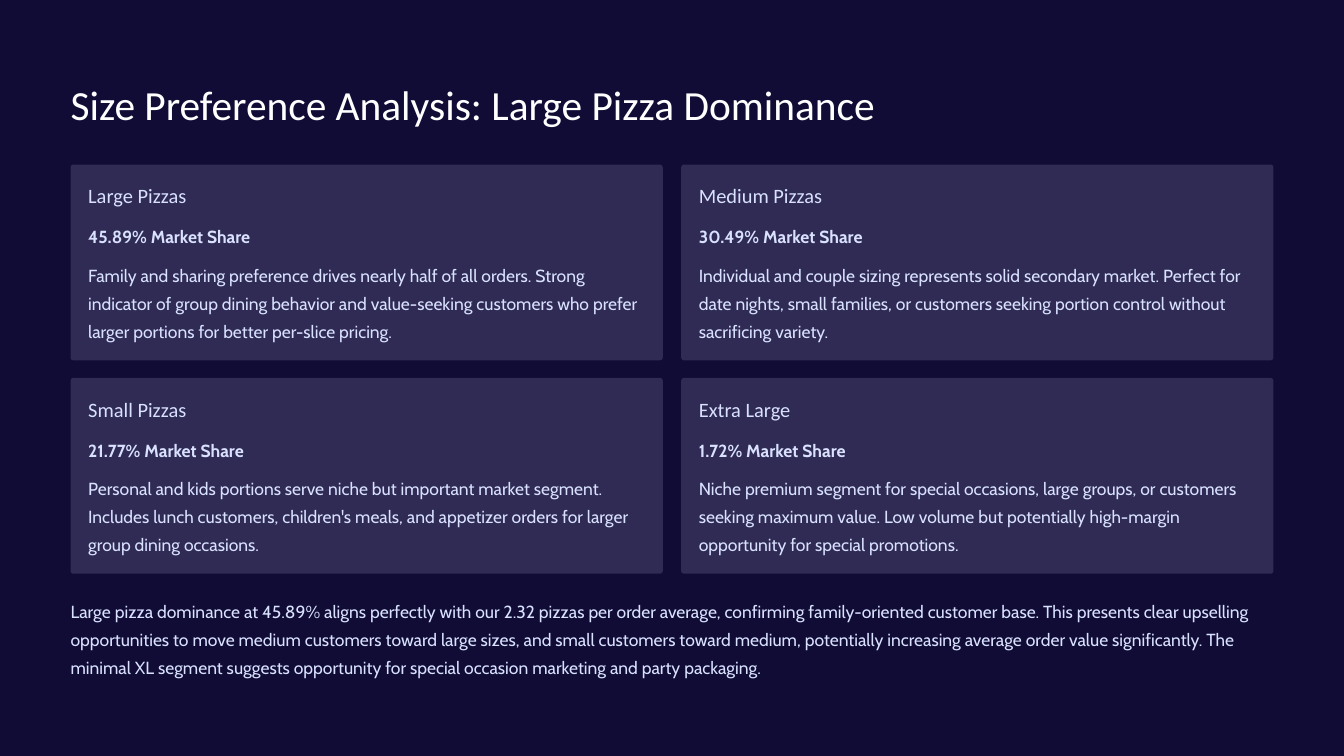
from pptx import Presentation
from pptx.dml.color import RGBColor
from pptx.enum.shapes import MSO_SHAPE
from pptx.enum.text import MSO_ANCHOR, MSO_AUTO_SIZE, PP_ALIGN
from pptx.util import Inches, Pt

COLORS = {"background": "100C35", "card": "2F2B54", "title": "FFFFFF", "text": "D9E1FF"}

CARDS = [
    ("Large Pizzas", "45.89% Market Share",
     "Family and sharing preference drives nearly half of all orders. Strong indicator of group "
     "dining behavior and value-seeking customers who prefer larger portions for better per-slice pricing."),
    ("Medium Pizzas", "30.49% Market Share",
     "Individual and couple sizing represents solid secondary market. Perfect for date nights, "
     "small families, or customers seeking portion control without sacrificing variety."),
    ("Small Pizzas", "21.77% Market Share",
     "Personal and kids portions serve niche but important market segment. Includes lunch customers, "
     "children's meals, and appetizer orders for larger group dining occasions."),
    ("Extra Large", "1.72% Market Share",
     "Niche premium segment for special occasions, large groups, or customers seeking maximum value. "
     "Low volume but potentially high-margin opportunity for special promotions."),
]
SUMMARY = (
    "Large pizza dominance at 45.89% aligns perfectly with our 2.32 pizzas per order average, "
    "confirming family-oriented customer base. This presents clear upselling opportunities to move "
    "medium customers toward large sizes, and small customers toward medium, potentially increasing "
    "average order value significantly. The minimal XL segment suggests opportunity for special "
    "occasion marketing and party packaging."
)


def place(sp, x, y, w, h):
    sp.left, sp.top, sp.width, sp.height = Inches(x), Inches(y), Inches(w), Inches(h)


def write(sp, text, size, leading, font="Cabin", color="text", bold=False, wrap=True):
    tf = sp.text_frame
    tf.margin_left = tf.margin_right = tf.margin_top = tf.margin_bottom = 0
    tf.vertical_anchor = MSO_ANCHOR.TOP
    tf.auto_size = MSO_AUTO_SIZE.NONE
    tf.word_wrap = wrap
    tf.text = text
    p = tf.paragraphs[0]
    p.alignment = PP_ALIGN.LEFT
    p.line_spacing = Pt(leading)
    r = p.runs[0]
    r.font.name = font
    r.font.size = Pt(size)
    r.font.bold = bold
    r.font.color.rgb = RGBColor.from_string(COLORS[color])


prs = Presentation()
prs.slide_width, prs.slide_height = Inches(16), Inches(9)
slide = prs.slides.add_slide(prs.slide_layouts[5])
fill = slide.background.fill
fill.solid()
fill.fore_color.rgb = RGBColor.from_string(COLORS["background"])

margin, gap, pad = 0.84, 0.22, 0.21
content_w = 16 - 2 * margin
card_w, card_h = (content_w - gap) / 2, 2.33
cards_top = 1.96

title = slide.shapes.title
place(title, margin, 0.92, 10.74, 0.62)
write(title, "Size Preference Analysis: Large Pizza Dominance", 35.5, 44.5, "Calibri", "title", wrap=False)

for i, (name, share, detail) in enumerate(CARDS):
    row, col = divmod(i, 2)
    x = margin + col * (card_w + gap)
    y = cards_top + row * (card_h + pad)
    card = slide.shapes.add_shape(MSO_SHAPE.ROUNDED_RECTANGLE, 0, 0, 0, 0)
    place(card, x, y, card_w, card_h)
    card.adjustments[0] = 0.014
    card.shadow.inherit = False
    card.fill.solid()
    card.fill.fore_color.rgb = RGBColor.from_string(COLORS["card"])
    card.line.fill.background()

    for text, dy, h, style in (
        (name, 0.21, 0.31, dict(size=17.5, leading=22, font="Calibri", wrap=False)),
        (share, 0.65, 0.34, dict(size=15, leading=24, bold=True, wrap=False)),
        (detail, 1.11, 1.01, dict(size=15, leading=24)),
    ):
        sp = slide.shapes.add_textbox(0, 0, 0, 0)
        place(sp, x + pad, y + dy, card_w - 2 * pad, h)
        write(sp, text, **style)

summary = slide.shapes.add_textbox(0, 0, 0, 0)
place(summary, margin, 7.07, content_w, 1.01)
write(summary, SUMMARY, 15, 24)

prs.save("out.pptx")
